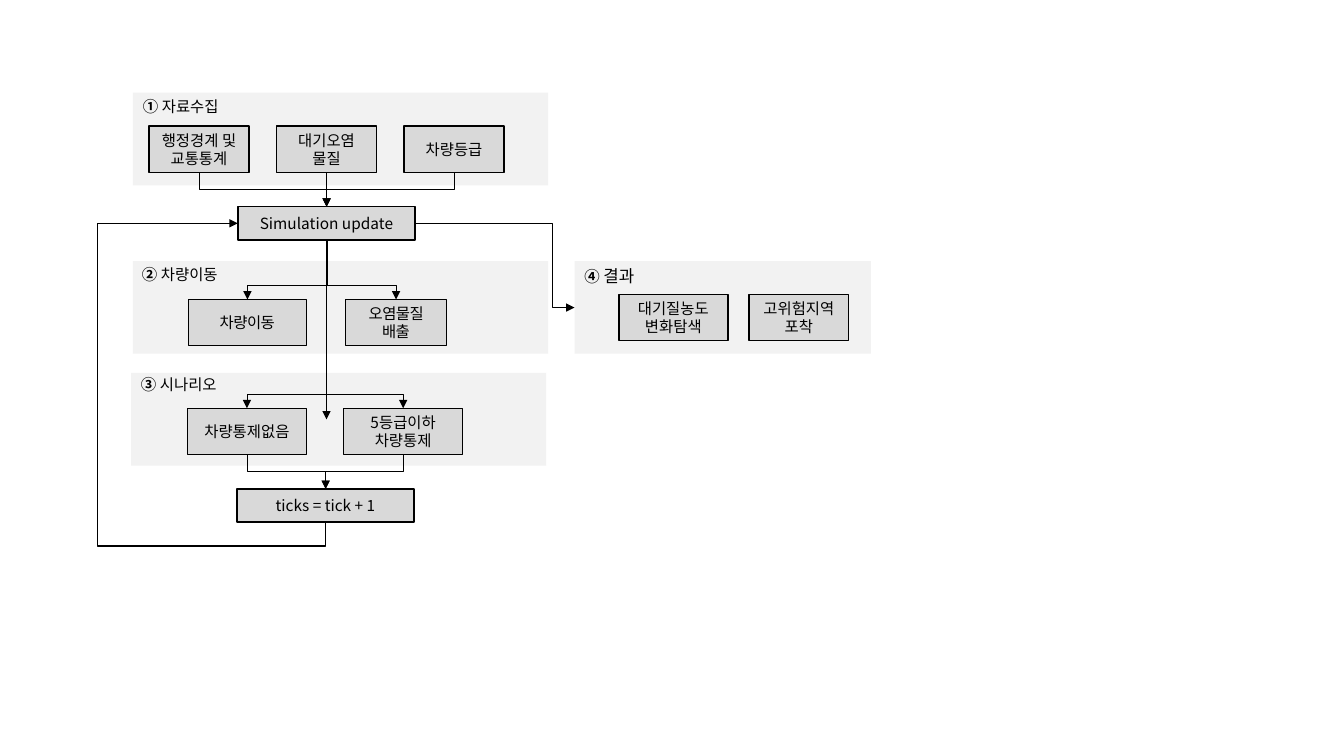
from dataclasses import dataclass

from lxml.etree import SubElement
from pptx import Presentation
from pptx.dml.color import RGBColor
from pptx.enum.shapes import MSO_CONNECTOR, MSO_SHAPE
from pptx.enum.text import MSO_ANCHOR, PP_ALIGN
from pptx.oxml.ns import qn
from pptx.util import Pt


@dataclass(frozen=True)
class Theme:
    """Colours, font, type sizes and line widths of the slide."""
    ink: RGBColor = RGBColor(0, 0, 0)
    panel: RGBColor = RGBColor(0xF2, 0xF2, 0xF2)
    node: RGBColor = RGBColor(0xD9, 0xD9, 0xD9)
    font: str = "Noto Sans CJK KR"
    body: float = 11
    large: float = 12
    thin: float = 0.5
    thick: float = 1


THEME = Theme()
NODE_HEIGHT = 33.1
PANEL_HEIGHT = 66.2


def add_span(para, text, size=THEME.body, bold=False, spacing=0):
    """Add one styled run to a paragraph."""
    span = para.add_run()
    span.text = text
    span.font.name = THEME.font
    span.font.size = Pt(size)
    span.font.bold = bold
    span.font.color.rgb = THEME.ink
    properties = span.font._element
    SubElement(properties, qn("a:ea"), typeface=THEME.font)
    if spacing:
        properties.set("spc", str(round(spacing * 100)))


def add_rectangle(page, box, fill, outlined=False):
    """Draw a plain rectangle, with or without an outline."""
    shape = page.shapes.add_shape(MSO_SHAPE.RECTANGLE, *map(Pt, box))
    shape.shadow.inherit = False
    shape.fill.solid()
    shape.fill.fore_color.rgb = fill
    if outlined:
        shape.line.color.rgb = THEME.ink
        shape.line.width = Pt(THEME.thick)
    else:
        shape.line.fill.background()
    return shape


def add_node(page, box, text, spacing=0):
    """Draw an outlined process box with centred text."""
    frame = add_rectangle(page, box, THEME.node, outlined=True).text_frame
    frame.word_wrap = True
    frame.vertical_anchor = MSO_ANCHOR.MIDDLE
    para = frame.paragraphs[0]
    para.alignment = PP_ALIGN.CENTER
    for index, line in enumerate(text.split("\n")):
        if index:
            para.add_line_break()
        add_span(para, line, spacing=spacing)


def add_title(page, left, top, number, text, size):
    """Write a bold circled number and the panel name."""
    frame = page.shapes.add_textbox(Pt(left), Pt(top), Pt(150), Pt(20)).text_frame
    frame.word_wrap = True
    para = frame.paragraphs[0]
    add_span(para, number + " ", bold=True)
    add_span(para, text, size)


def finish_arrow(connector, width, bends=(), turn=0):
    """Style a connector and set its bends and rotation."""
    connector.line.color.rgb = THEME.ink
    connector.line.width = Pt(width)
    properties = connector.element.spPr
    SubElement(properties.get_or_add_ln(), qn("a:tailEnd"), type="triangle")
    SubElement(properties, qn("a:effectLst"))
    if turn:
        properties.find(qn("a:xfrm")).set("rot", str(turn * 60000))
    if bends:
        geometry = properties.find(qn("a:prstGeom"))
        geometry.set("prst", f"bentConnector{len(bends) + 2}")
        guides = geometry.find(qn("a:avLst"))
        for index, share in enumerate(bends, 1):
            SubElement(guides, qn("a:gd"), name=f"adj{index}",
                       fmla=f"val {round(share * 100000)}")


def add_straight(page, start, end):
    """Draw a thin straight arrow."""
    connector = page.shapes.add_connector(
        MSO_CONNECTOR.STRAIGHT, *map(Pt, (*start, *end)))
    finish_arrow(connector, THEME.thin)


def add_elbow(page, start, end, bends, width=THEME.thin, vertical=True):
    """Draw an elbow arrow that leaves vertically or horizontally."""
    ends, turn = (*start, *end), 0
    if vertical:
        (left, top), (right, bottom) = start, end
        across, down = right - left, bottom - top
        middle_x, middle_y = (left + right) / 2, (top + bottom) / 2
        half_width, half_height = abs(down) / 2, abs(across) / 2
        if (across < 0) == (down < 0):
            half_width = -half_width
        ends = (middle_x - half_width, middle_y - half_height,
                middle_x + half_width, middle_y + half_height)
        turn = 90 if across < 0 else 270
    connector = page.shapes.add_connector(MSO_CONNECTOR.ELBOW, *map(Pt, ends))
    finish_arrow(connector, width, bends, turn)


def draw_panel(page, box, title, nodes, node_top, title_shift=(0, 0),
               title_size=THEME.body, spacing=0):
    """Draw a grey panel with its title and row of process boxes."""
    left, top, width = box
    add_rectangle(page, (left, top, width, PANEL_HEIGHT), THEME.panel)
    add_title(page, left + title_shift[0], top + title_shift[1], *title, title_size)
    for offset, node_width, text in nodes:
        node_box = (left + offset, top + node_top, node_width, NODE_HEIGHT)
        add_node(page, node_box, text, spacing)


def draw_collection(page, box):
    """Draw data collection and the arrows that merge below it."""
    left, top, _ = box
    texts = ("행정경계 및 교통통계", "대기오염\n물질", "차량등급")
    nodes = [(11.5 + 91.1 * index, 71.3, text) for index, text in enumerate(texts)]
    draw_panel(page, box, ("①", "자료수집"), nodes, 23.8)
    target = (left + 138.3, top + 81.4)
    for offset, width, _ in nodes:
        start = (left + offset + width / 2, top + 56.9)
        if abs(start[0] - target[0]) < 1:
            add_straight(page, start, target)
        else:
            add_elbow(page, start, target, (0.5,))


def draw_movement(page, box):
    """Draw vehicle movement and the arrows that branch into it."""
    left, top, _ = box
    nodes = [(39.6, 84.2, "차량이동"), (151.9, 72, "오염물질 배출")]
    draw_panel(page, box, ("②", "차량이동"), nodes, 27.4, (-0.7, -0.7), spacing=-0.4)
    for offset, width, _ in nodes:
        end = (left + offset + width / 2, top + 27.4)
        add_elbow(page, (left + 139, top - 15.1), end, (0.76,))


def draw_scenario(page, box):
    """Draw the scenarios with arrows that branch and merge."""
    left, top, _ = box
    nodes = [(40.3, 85, "차량통제없음"), (151.9, 85, "5등급이하 차량통제")]
    draw_panel(page, box, ("③", "시나리오"), nodes, 25.2, (0, -2.2))
    for offset, width, _ in nodes:
        centre = left + offset + width / 2
        add_elbow(page, (left + 139.3, top - 20.9), (centre, top + 25.2), (0.79,))
        add_elbow(page, (centre, top + 58.3), (left + 139, top + 82.8), (0.5,))


def draw_results(page, box):
    """Draw the results panel."""
    nodes = [(31.7, 77.8, "대기질농도 변화탐색"), (124.6, 71.3, "고위험지역포착")]
    draw_panel(page, box, ("④", "결과"), nodes, 23.8, title_size=THEME.large)


def draw_cycle(page, update, tick):
    """Draw the update and tick steps with the arrows between regions."""
    add_node(page, update, "Simulation update")
    add_node(page, tick, "ticks = tick + 1")
    left, top, width, height = update
    middle = top + height / 2
    add_straight(page, (left + width / 2, top + height), (left + width / 2, top + 152))
    add_elbow(page, (tick[0] + tick[2] / 2, tick[1] + tick[3]), (left, middle),
              (-0.08, 2.6), THEME.thick)
    add_elbow(page, (left + width, middle), (left + 240.5, middle + 60.2),
              (0.86,), THEME.thick, vertical=False)


def main():
    """Build the simulation flow slide and save it."""
    deck = Presentation()
    deck.slide_width, deck.slide_height = Pt(960), Pt(540)
    page = deck.slides.add_slide(deck.slide_layouts[6])
    draw_collection(page, (95, 66.2, 296.6))
    draw_movement(page, (95, 186.5, 296.6))
    draw_scenario(page, (93.6, 266.4, 296.6))
    draw_results(page, (410.4, 186.5, 211.7))
    draw_cycle(page, (169.9, 147.6, 126.7, 23.8), (169.2, 349.2, 126.7, 23.8))
    deck.save("out.pptx")


main()
